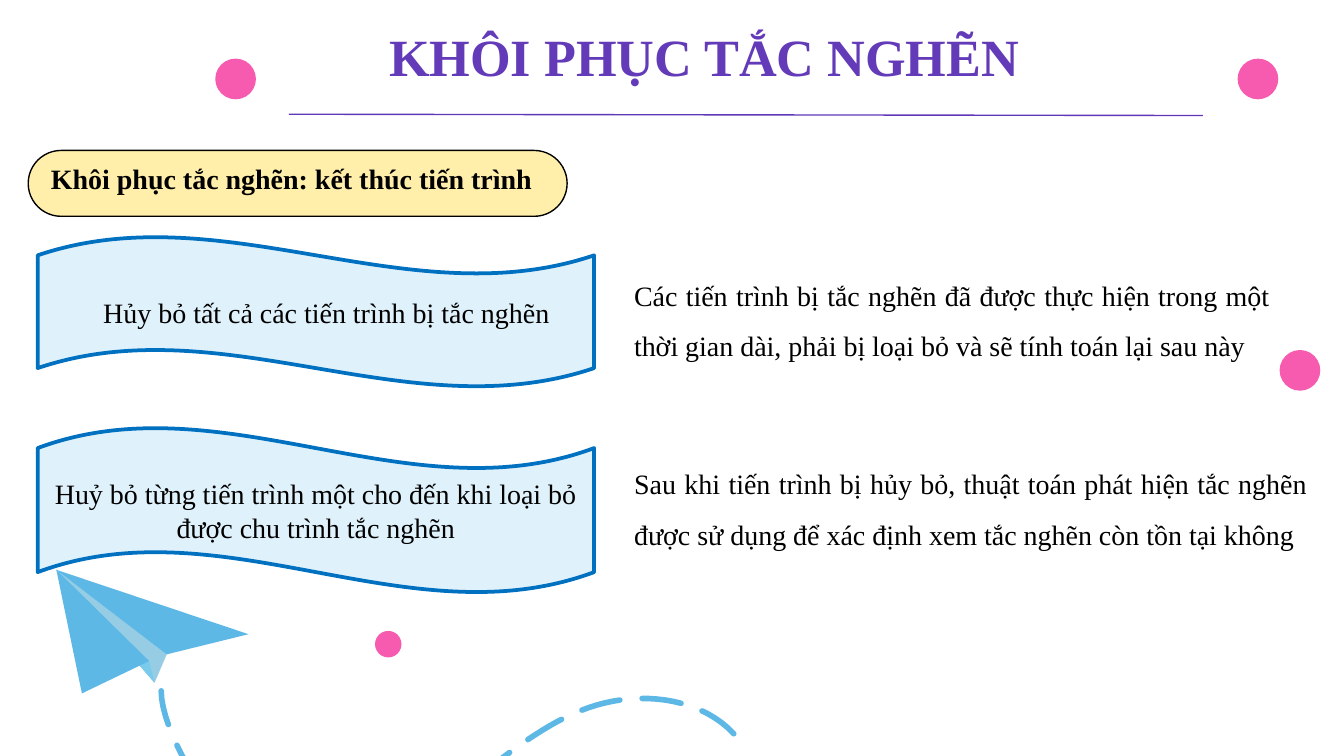
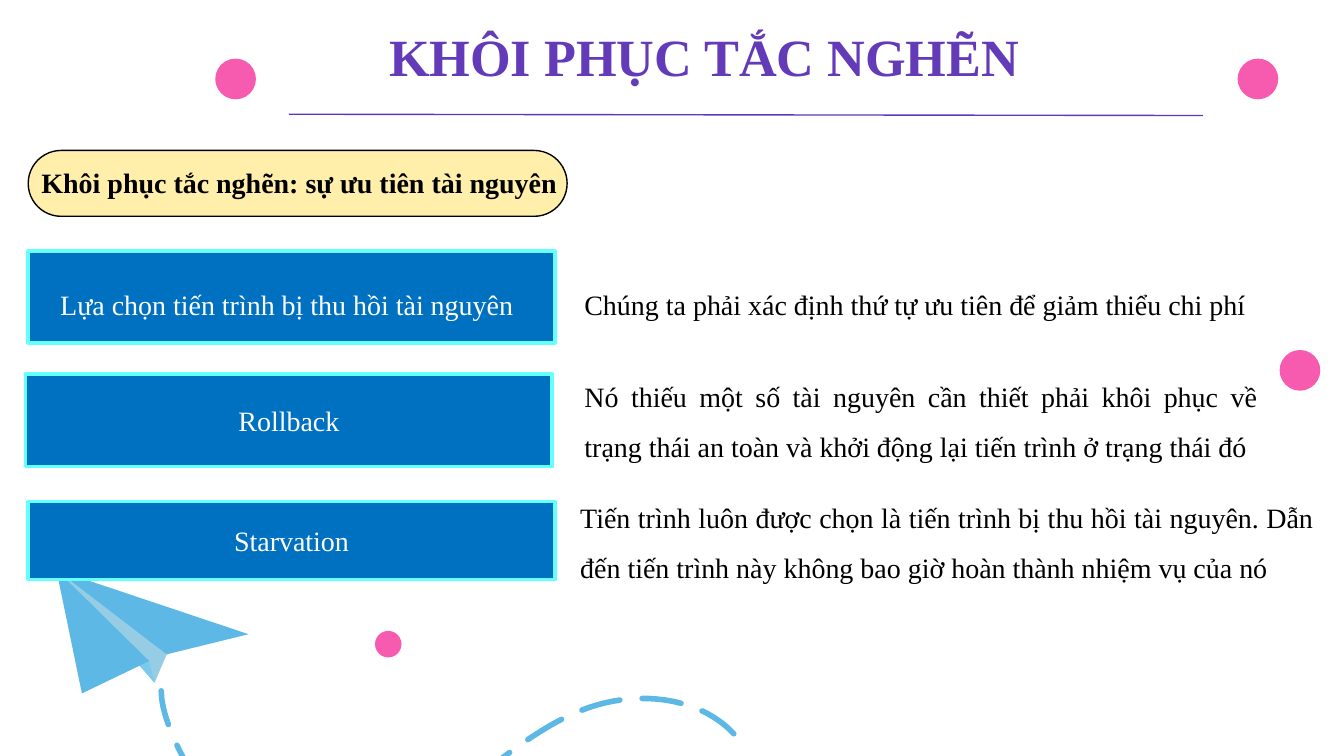
from lxml.etree import SubElement
from pptx import Presentation
from pptx.dml.color import RGBColor
from pptx.enum.dml import MSO_LINE
from pptx.enum.shapes import MSO_CONNECTOR, MSO_SHAPE
from pptx.enum.text import MSO_ANCHOR, MSO_AUTO_SIZE, PP_ALIGN
from pptx.oxml.ns import qn
from pptx.util import Pt

COLORS = {
    "title": "633BB9", "rule": "6037B8", "dot": "F75BAF", "ink": "000000",
    "white": "FFFFFF", "pill": "FFEFAB", "wave": "DFF1FA", "blue": "0070C0",
    "cyan": "66FFFF", "wing": "5EB8E6", "fold": "7ACAEB", "shade": "CED3D8",
}
FONT = "Times New Roman"
BODY_SIZE = 15
TITLE = "KHÔI PHỤC TẮC NGHẼN"
TITLE_BOX = (73.4, 5.8, 607.7, 45.4)
PILL_BOX = (15.1, 80.6, 288.7, 35.3)
RULE = (154.8, 61.2, 644.4, 61.9)

DOTS = [(126.2, 42.3, 21.8), (208, 345.1, 14.2), (673.9, 42.3, 21.8), (696.4, 198.4, 21.8)]
NOSE, KEEL, CREASE = (30.2, 305.3), (82.8, 365.8), (89.3, 350.6)
INNER, RIGHT_TIP, LEFT_TIP = (79.9, 354.2), (133.2, 339.8), (43.9, 371.5)
PLANE = [
    ((NOSE, KEEL, CREASE), "fold", 100),
    ((NOSE, KEEL, CREASE), "shade", 34),
    ((NOSE, KEEL, INNER), "fold", 100),
    ((NOSE, CREASE, RIGHT_TIP), "wing", 100),
    ((NOSE, LEFT_TIP, INNER), "wing", 100),
]
TRAIL = [
    (393.1, 393.1),
    (376.6, 375.1), (347.8, 370.8), (324, 376.6),
    (300.2, 382.3), (280.8, 397.4), (261.4, 411.8),
    (242.6, 427), (223.9, 442.1), (200.9, 450.7),
    (177.8, 459.4), (149.8, 459.4), (129.6, 445.7),
    (110.9, 432), (86.4, 391.7), (86.4, 370.1),
]
TRAIL_STEPS = 16

LEFT, CENTER, JUSTIFY = PP_ALIGN.LEFT, PP_ALIGN.CENTER, PP_ALIGN.JUSTIFY
PANELS = {
    "wave": (MSO_SHAPE.WAVE, "wave", "blue", "ink"),
    "bar": (MSO_SHAPE.RECTANGLE, "blue", "cyan", "white"),
}

SLIDES = [
    {
        "heading": ("Khôi phục tắc nghẽn: kết thúc tiến trình", (20.2, 82.8, 278.6, 25.2)),
        "panel": "wave",
        "panels": [
            ("", (20.2, 126.7, 298.1, 80.6)),
            ("Huỷ bỏ từng tiến trình một cho đến khi loại bỏ được chu trình tắc nghẽn",
             (20.2, 229, 298.1, 88.6)),
        ],
        "texts": [
            ("Hủy bỏ tất cả các tiến trình bị tắc nghẽn", (48.2, 154.8, 255.6, 25.2),
             {"wrap": False}),
            ("Các tiến trình bị tắc nghẽn đã được thực hiện trong một thời gian dài, "
             "phải bị loại bỏ và sẽ tính toán lại sau này", (332.6, 139.7, 355, 54.7),
             {"align": JUSTIFY, "spacing": 1.5, "anchor": MSO_ANCHOR.MIDDLE}),
            ("Sau khi tiến trình bị hủy bỏ, thuật toán phát hiện tắc nghẽn được sử dụng "
             "để xác định xem tắc nghẽn còn tồn tại không", (332.6, 237.6, 375.1, 61.9),
             {"align": JUSTIFY, "spacing": 1.5}),
        ],
    },
    {
        "heading": ("Khôi phục tắc nghẽn: sự ưu tiên tài nguyên", (15.1, 85, 293.8, 25.2)),
        "panel": "bar",
        "panels": [
            ("", (15.1, 134.6, 282.2, 49)),
            ("Rollback", (13.7, 200.2, 282.2, 49.7)),
            ("Starvation", (15.1, 268.6, 282.2, 41.8)),
        ],
        "texts": [
            ("Lựa chọn tiến trình bị thu hồi tài nguyên", (25.2, 141.8, 273.6, 31),
             {"align": JUSTIFY, "spacing": 1.5, "color": "white"}),
            ("Chúng ta phải xác định thứ tự ưu tiên để giảm thiểu chi phí",
             (306, 150.5, 371.5, 25.2), {}),
            ("Nó thiếu một số tài nguyên cần thiết phải khôi phục về trạng thái an toàn "
             "và khởi động lại tiến trình ở trạng thái đó", (306, 190.8, 375.1, 61.9),
             {"align": JUSTIFY, "spacing": 1.5}),
            ("Tiến trình luôn được chọn là tiến trình bị thu hồi tài nguyên. Dẫn đến "
             "tiến trình này không bao giờ hoàn thành nhiệm vụ của nó",
             (303.8, 255.6, 407.5, 61.9), {"align": JUSTIFY, "spacing": 1.5}),
        ],
    },
]


def rgb(name):
    return RGBColor.from_string(COLORS[name])


def points(values):
    return [Pt(value) for value in values]


def paint(shape, fill=None, line=None, width=0.75):
    shape.shadow.inherit = False
    if fill:
        shape.fill.solid()
        shape.fill.fore_color.rgb = rgb(fill)
    else:
        shape.fill.background()
    if line:
        shape.line.color.rgb = rgb(line)
        shape.line.width = Pt(width)
    else:
        shape.line.fill.background()


def write(frame, text, size=BODY_SIZE, color="ink", bold=False, align=LEFT, spacing=1):
    frame.text = text
    paragraph = frame.paragraphs[0]
    paragraph.alignment = align
    paragraph.line_spacing = spacing
    for run in paragraph.runs:
        run.font.name = FONT
        run.font.size = Pt(size)
        run.font.bold = bold
        run.font.color.rgb = rgb(color)


def add_text(slide, text, box, wrap=True, anchor=MSO_ANCHOR.TOP, **style):
    frame = slide.shapes.add_textbox(*points(box)).text_frame
    frame.word_wrap = wrap
    frame.vertical_anchor = anchor
    write(frame, text, **style)


def add_outline(slide, vertices, close):
    start, *rest = [points(vertex) for vertex in vertices]
    builder = slide.shapes.build_freeform(*start)
    builder.add_line_segments(rest, close=close)
    return builder.convert_to_shape()


def curve_points(controls):
    curve = [controls[0]]
    for i in range(0, len(controls) - 1, 3):
        segment = controls[i:i + 4]
        for step in range(1, TRAIL_STEPS + 1):
            t = step / TRAIL_STEPS
            weights = ((1 - t) ** 3, 3 * t * (1 - t) ** 2, 3 * t * t * (1 - t), t ** 3)
            curve.append(tuple(sum(w * p[axis] for w, p in zip(weights, segment))
                               for axis in (0, 1)))
    return curve


def add_decoration(slide):
    for x, y, size in DOTS:
        dot = slide.shapes.add_shape(
            MSO_SHAPE.OVAL, *points((x - size / 2, y - size / 2, size, size)))
        paint(dot, "dot")
    for vertices, color, opacity in PLANE:
        facet = add_outline(slide, vertices, True)
        paint(facet, color)
        if opacity < 100:
            tint = facet.element.spPr.find(qn("a:solidFill"))[0]
            SubElement(tint, qn("a:alpha")).set("val", str(opacity * 1000))
    trail = add_outline(slide, curve_points(TRAIL), False)
    paint(trail, line="wing", width=3)
    trail.line.dash_style = MSO_LINE.LONG_DASH
    trail.element.spPr.find(qn("a:ln")).set("cap", "rnd")


def add_header(slide, heading, heading_box):
    title = slide.shapes.title
    title.left, title.top, title.width, title.height = points(TITLE_BOX)
    frame = title.text_frame
    frame.auto_size = MSO_AUTO_SIZE.NONE
    frame.vertical_anchor = MSO_ANCHOR.TOP
    frame.margin_top = Pt(7.2)
    write(frame, TITLE, 28, "title", True, CENTER)
    rule = slide.shapes.add_connector(MSO_CONNECTOR.STRAIGHT, *points(RULE))
    rule.line.color.rgb = rgb("rule")
    rule.line.width = Pt(0.75)
    SubElement(rule.element.spPr, qn("a:effectLst"))
    pill = slide.shapes.add_shape(MSO_SHAPE.ROUNDED_RECTANGLE, *points(PILL_BOX))
    pill.adjustments[0] = 0.5
    paint(pill, "pill", "ink")
    add_text(slide, heading, heading_box, wrap=False, bold=True)


def add_panel(slide, kind, text, box):
    preset, fill, line, color = PANELS[kind]
    panel = slide.shapes.add_shape(preset, *points(box))
    paint(panel, fill, line, 2)
    if text:
        write(panel.text_frame, text, color=color, align=CENTER)


def main():
    deck = Presentation()
    deck.slide_width, deck.slide_height = Pt(720), Pt(405)
    for content in SLIDES:
        slide = deck.slides.add_slide(deck.slide_layouts[5])
        add_decoration(slide)
        add_header(slide, *content["heading"])
        for text, box in content["panels"]:
            add_panel(slide, content["panel"], text, box)
        for text, box, style in content["texts"]:
            add_text(slide, text, box, **style)
    deck.save("out.pptx")


if __name__ == "__main__":
    main()
